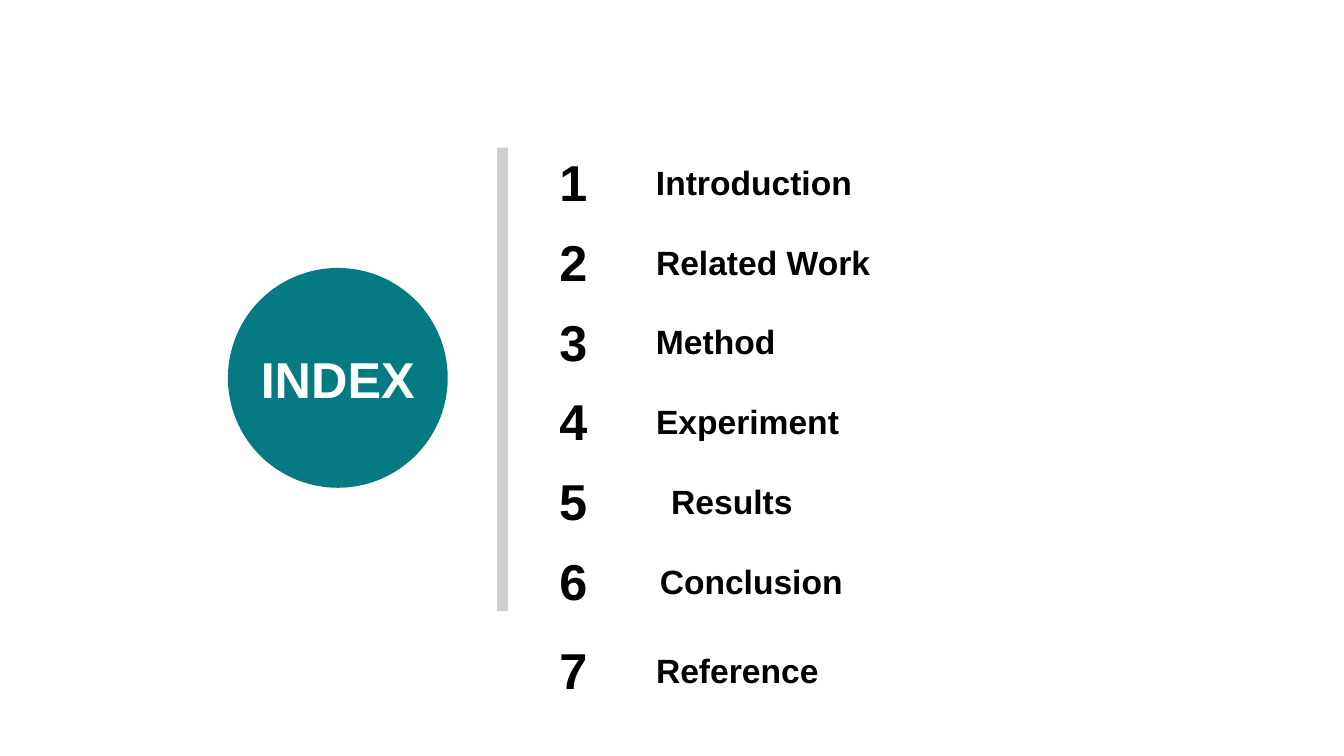
from pptx import Presentation
from pptx.dml.color import RGBColor
from pptx.enum import shapes, text
from pptx.util import Pt

COLORS = {"teal": "067A82", "gray": "D0CECE", "black": "000000", "white": "FFFFFF"}
FONT = "Arial"
HEADING = "INDEX"
# title, title indent, title width, number width, extra space above
SECTIONS = [
    ("Introduction", 0, 161.3, 37.4, 0),
    ("Related Work", 0, 173.5, 37.4, 0),
    ("Method", 0, 205.9, 37.4, 0),
    ("Experiment", 0, 150.5, 37.4, 0),
    ("Results", 10.8, 116.6, 43.2, 0),
    ("Conclusion", 2.7, 170.6, 42.5, 0),
    ("Reference", 0, 135.4, 37.4, 6.5),
]
NUMBER_LEFT, TITLE_LEFT = 392.4, 461.5
FIRST_TOP, ROW_PITCH = 104.4, 57
NUMBER_HEIGHT, TITLE_HEIGHT = 51.1, 36
NUMBER_SIZE, TITLE_SIZE = 36, 24
CIRCLE_LEFT, CIRCLE_TOP, CIRCLE_SIZE = 162.8, 191.4, 157
HEADING_WIDTH, HEADING_TOP = 125.3, 244.8


def add_filled(container, kind, left, top, width, height, color):
    shape = container.shapes.add_shape(kind, Pt(left), Pt(top), Pt(width), Pt(height))
    shape.shadow.inherit = False
    shape.fill.solid()
    shape.fill.fore_color.rgb = RGBColor.from_string(COLORS[color])
    shape.line.fill.background()


def add_label(container, content, left, top, width, height, size,
              color="black", align=text.PP_ALIGN.LEFT):
    box = container.shapes.add_textbox(Pt(left), Pt(top), Pt(width), Pt(height))
    frame = box.text_frame
    frame.word_wrap = True
    frame.auto_size = text.MSO_AUTO_SIZE.SHAPE_TO_FIT_TEXT
    paragraph = frame.paragraphs[0]
    paragraph.alignment = align
    run = paragraph.add_run()
    run.text = content
    run.font.name = FONT
    run.font.size = Pt(size)
    run.font.bold = True
    run.font.color.rgb = RGBColor.from_string(COLORS[color])


def main():
    presentation = Presentation()
    presentation.slide_width, presentation.slide_height = Pt(960), Pt(540)
    slide = presentation.slides.add_slide(presentation.slide_layouts[6])

    add_filled(slide, shapes.MSO_SHAPE.RECTANGLE, 354.9, 105.4, 8, 331.2, "gray")

    badge = slide.shapes.add_group_shape()
    add_filled(badge, shapes.MSO_SHAPE.OVAL, CIRCLE_LEFT, CIRCLE_TOP,
               CIRCLE_SIZE, CIRCLE_SIZE, "teal")
    heading_left = CIRCLE_LEFT + (CIRCLE_SIZE - HEADING_WIDTH) / 2
    add_label(badge, HEADING, heading_left, HEADING_TOP, HEADING_WIDTH,
              NUMBER_HEIGHT, NUMBER_SIZE, "white", text.PP_ALIGN.CENTER)

    for index, (title, indent, title_width, number_width, extra) in enumerate(SECTIONS):
        top = FIRST_TOP + index * ROW_PITCH + extra
        title_top = top + (NUMBER_HEIGHT - TITLE_HEIGHT) / 2
        row = slide.shapes.add_group_shape()
        add_label(row, str(index + 1), NUMBER_LEFT, top, number_width,
                  NUMBER_HEIGHT, NUMBER_SIZE)
        add_label(row, title, TITLE_LEFT + indent, title_top, title_width,
                  TITLE_HEIGHT, TITLE_SIZE)

    presentation.save("out.pptx")


if __name__ == "__main__":
    main()
